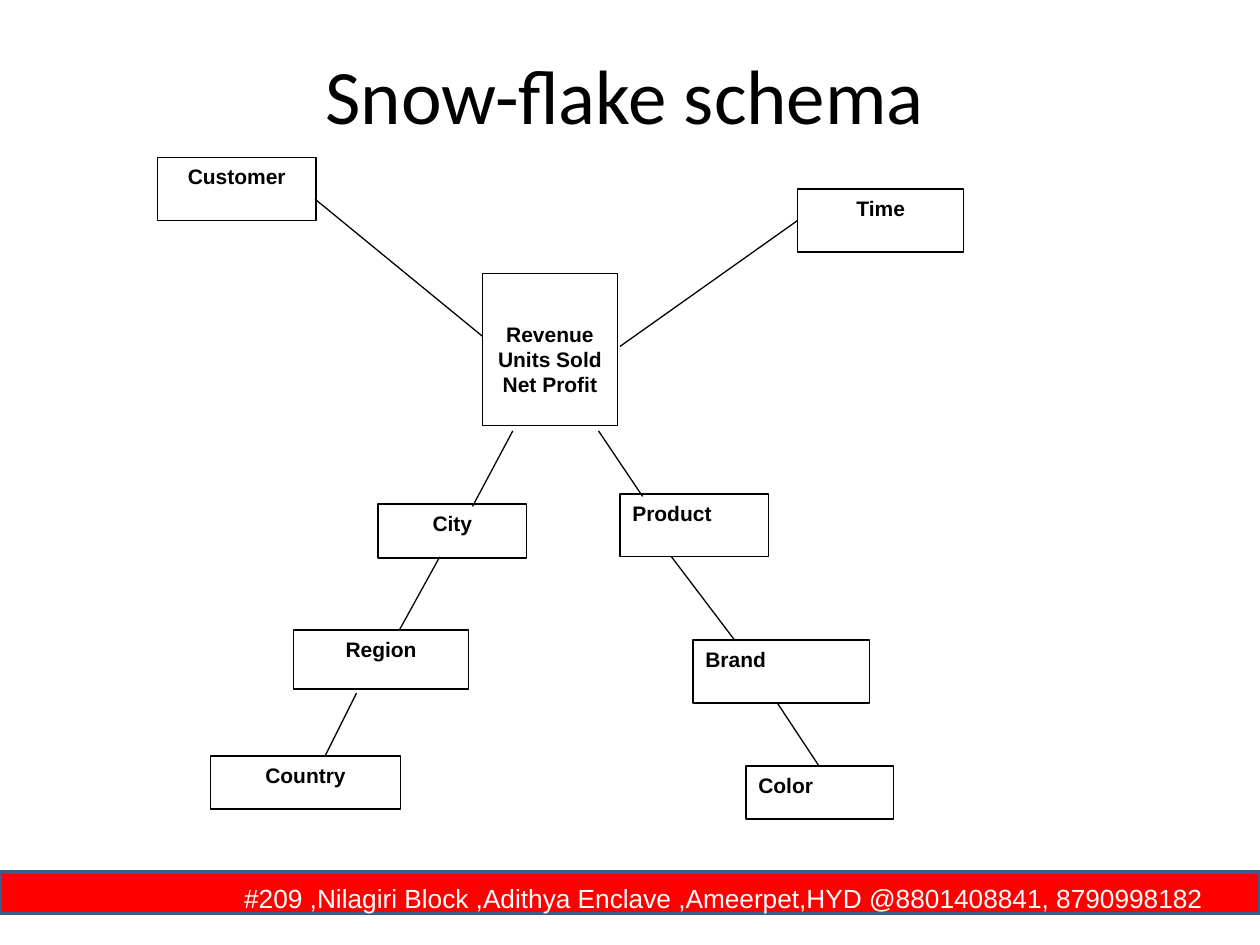
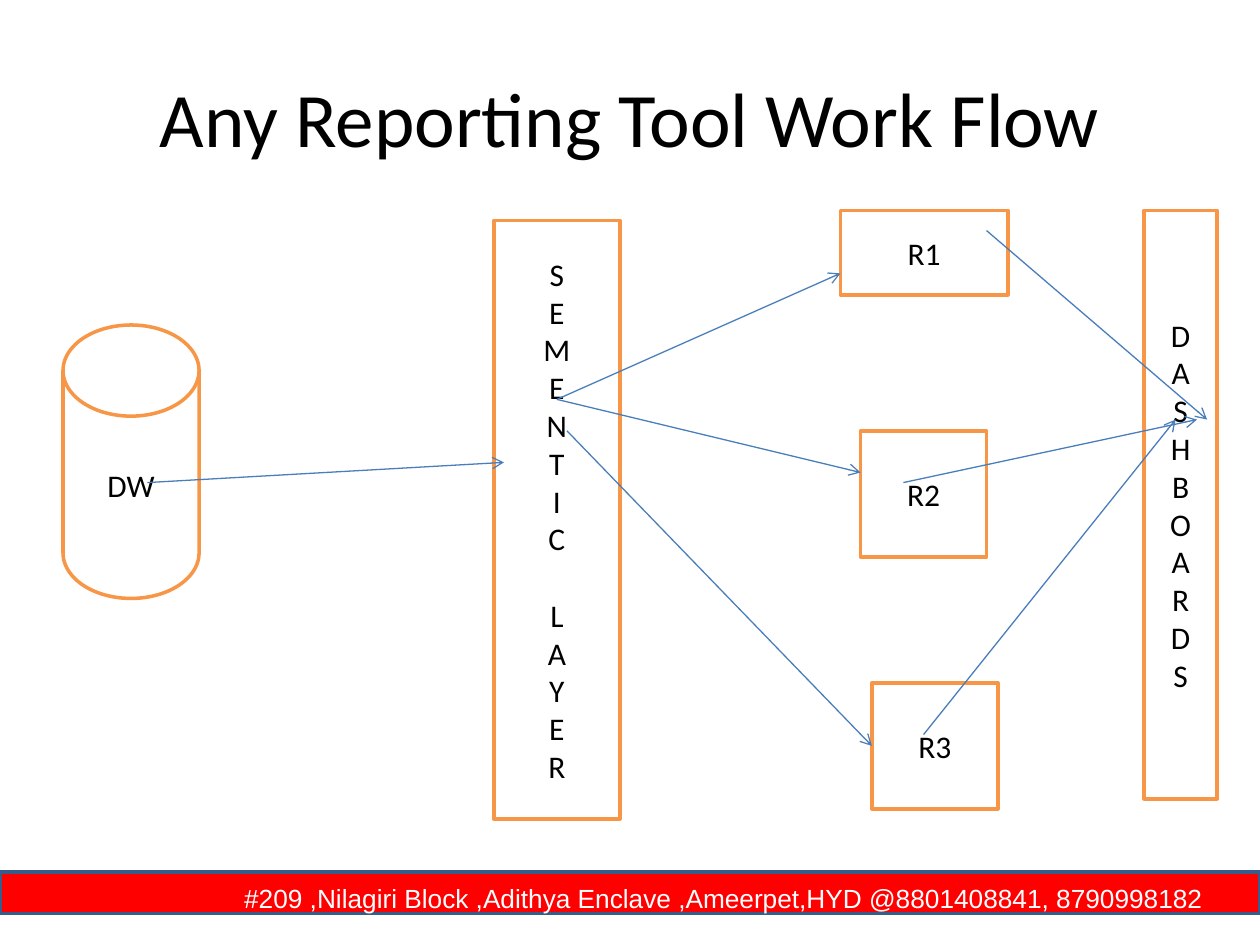
from lxml import etree
from pptx import Presentation
from pptx.dml.color import RGBColor
from pptx.enum import shapes, text
from pptx.oxml import ns
from pptx.util import Inches, Pt

BLACK = RGBColor(0x00, 0x00, 0x00)
WHITE = RGBColor(0xFF, 0xFF, 0xFF)
RED = RGBColor(0xFF, 0x00, 0x00)
NAVY = RGBColor(0x38, 0x5D, 0x8A)
ORANGE = RGBColor(0xF7, 0x96, 0x46)
BLUE = RGBColor(0x4A, 0x7E, 0xBB)

TITLE_FONT = {"name": "Calibri", "size": Pt(44)}
TABLE_FONT = {"name": "Arial", "size": Pt(12), "bold": True}
FLOW_FONT = {"name": "Calibri", "size": Pt(18)}
FOOTER_FONT = {"name": "Arial", "size": Pt(15)}

FOOTER = "#209 ,Nilagiri Block ,Adithya Enclave ,Ameerpet,HYD @8801408841, 8790998182"

RECT = shapes.MSO_SHAPE.RECTANGLE
DISK = shapes.MSO_SHAPE.FLOWCHART_MAGNETIC_DISK
LEFT, CENTER, RIGHT = text.PP_ALIGN.LEFT, text.PP_ALIGN.CENTER, text.PP_ALIGN.RIGHT
TOP, MIDDLE = text.MSO_ANCHOR.TOP, text.MSO_ANCHOR.MIDDLE


class Deck:
    def __init__(self):
        self.prs = Presentation()
        self.prs.slide_width, self.prs.slide_height = Inches(10), Inches(7.5)
        self.s = None

    def add_slide(self, title, at):
        """Start a slide with its title and the address band."""
        self.s = self.prs.slides.add_slide(self.prs.slide_layouts[5])
        self.add_box((0, 6.92, 10, 0.33), [FOOTER], FOOTER_FONT, color=WHITE, fill=RED,
                     line=NAVY, width=2, align=RIGHT, margins={"right": 0.45, "top": 0.09, "bottom": 0})
        sp = self.s.shapes.title
        sp.left, sp.top, sp.width, sp.height = map(Inches, at)
        sp.text_frame.auto_size = text.MSO_AUTO_SIZE.NONE
        self.set_text(sp.text_frame, [title], TITLE_FONT, BLACK, CENTER, MIDDLE)

    def set_text(self, tf, lines, font, color, align, anchor):
        tf.word_wrap = True
        tf.vertical_anchor = anchor
        for i, line in enumerate(lines):
            p = tf.paragraphs[0] if i == 0 else tf.add_paragraph()
            p.alignment = align
            r = p.add_run()
            r.text = line
            for name, value in font.items():
                setattr(r.font, name, value)
            r.font.color.rgb = color

    def add_box(self, at, lines, font, color=BLACK, fill=WHITE, line=BLACK, width=0.75,
                align=CENTER, anchor=MIDDLE, kind=RECT, margins=None):
        sp = self.s.shapes.add_shape(kind, *map(Inches, at))
        sp.shadow.inherit = False
        sp.fill.solid()
        sp.fill.fore_color.rgb = fill
        sp.line.color.rgb = line
        sp.line.width = Pt(width)
        for side, value in (margins or {}).items():
            setattr(sp.text_frame, f"margin_{side}", Inches(value))
        self.set_text(sp.text_frame, lines, font, color, align, anchor)
        return sp

    def add_table_box(self, at, lines, **style):
        return self.add_box(at, lines, TABLE_FONT, anchor=TOP, **style)

    def add_flow_box(self, at, lines, **style):
        return self.add_box(at, lines, FLOW_FONT, line=ORANGE, width=2, **style)

    def add_line(self, ends, color=BLACK, arrow=False):
        link = self.s.shapes.add_connector(shapes.MSO_CONNECTOR.STRAIGHT, *map(Inches, ends))
        link.line.color.rgb = color
        link.line.width = Pt(0.75)
        props = link._element.spPr
        if arrow:
            etree.SubElement(props.find(ns.qn("a:ln")), ns.qn("a:tailEnd"), type="arrow")
        etree.SubElement(props, ns.qn("a:effectLst"))


def snowflake_slide(deck):
    deck.add_slide("Snow-flake schema", (0.75, 0.33, 8.42, 0.83))
    deck.add_table_box((3.83, 2.17, 1.07, 1.21), ["Revenue", "Units Sold", "Net Profit"],
                       margins={"top": 0.38})
    dimensions = [
        ("Customer", (1.25, 1.25, 1.26, 0.5), CENTER),
        ("Time", (6.33, 1.5, 1.32, 0.5), CENTER),
        ("City", (3, 4, 1.18, 0.43), CENTER),
        ("Region", (2.33, 5, 1.39, 0.47), CENTER),
        ("Country", (1.67, 6, 1.51, 0.42), CENTER),
        ("Product", (4.92, 3.92, 1.18, 0.5), LEFT),
        ("Brand", (5.5, 5.08, 1.4, 0.5), LEFT),
        ("Color", (5.92, 6.08, 1.17, 0.42), LEFT),
    ]
    for name, at, align in dimensions:
        deck.add_table_box(at, [name], align=align)
    links = [
        (3.83, 2.67, 2.5, 1.58), (4.92, 2.75, 6.33, 1.75),
        (4.07, 3.42, 3.75, 4.02), (3.49, 4.42, 3.17, 5), (2.83, 5.5, 2.58, 6),
        (4.75, 3.42, 5.1, 3.94), (5.33, 4.42, 5.83, 5.08), (6.17, 5.58, 6.5, 6.08),
    ]
    for ends in links:
        deck.add_line(ends)


def workflow_slide(deck):
    deck.add_slide("Any Reporting Tool Work Flow", (0.5, 0.3, 9, 1.25))
    deck.add_flow_box((0.5, 2.58, 1.08, 2.17), ["DW"], kind=DISK)
    layer = deck.add_flow_box((3.92, 1.75, 1, 4.75), "SEMENTICLAYER")
    layer.text_frame.paragraphs[len("SEMENTIC")].space_before = Pt(22)
    reports = [(6.67, 1.67, 1.33, 0.67), (6.83, 3.42, 1, 1), (6.92, 5.42, 1, 1)]
    for number, at in enumerate(reports, 1):
        deck.add_flow_box(at, [f"R{number}"])
    deck.add_flow_box((9.08, 1.67, 0.58, 4.67), "DASHBOARDS")
    arrows = [
        (1.17, 3.83, 4, 3.67),
        (4.42, 3.17, 6.67, 2.17), (4.42, 3.17, 6.83, 3.75), (4.5, 3.42, 6.92, 5.92),
        (7.83, 1.83, 9.58, 3.33), (7.17, 3.83, 9.5, 3.33), (7.33, 5.83, 9.33, 3.33),
    ]
    for ends in arrows:
        deck.add_line(ends, BLUE, arrow=True)


def main():
    deck = Deck()
    snowflake_slide(deck)
    workflow_slide(deck)
    deck.prs.save("out.pptx")


if __name__ == "__main__":
    main()
